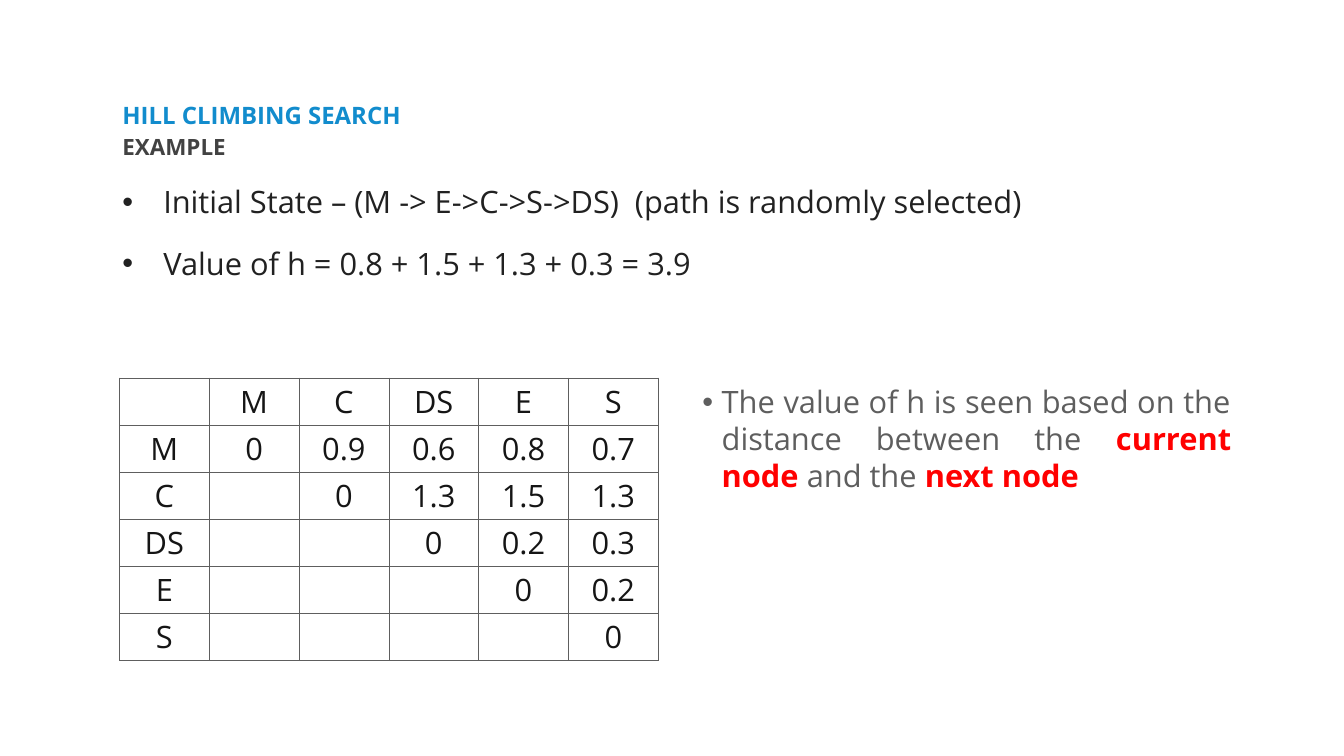
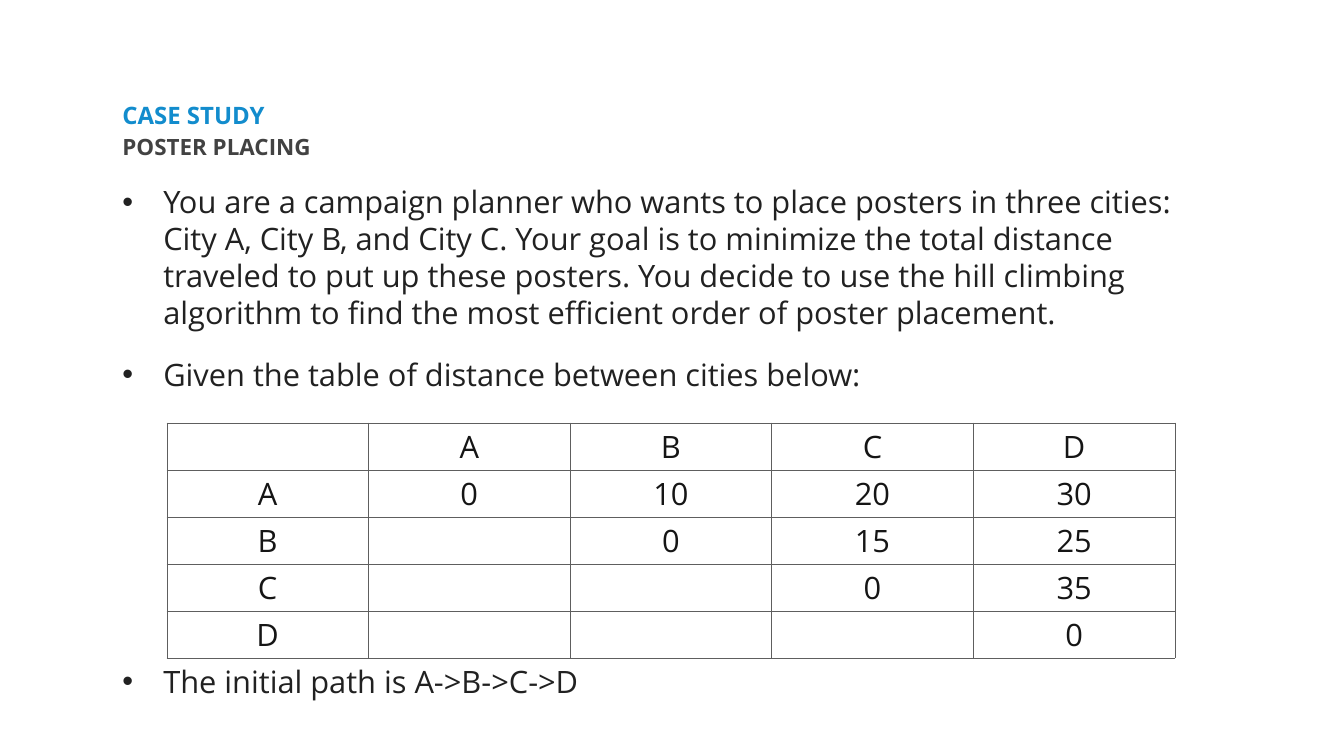
from pptx import Presentation
from pptx.dml.color import RGBColor as Rgb
from pptx.enum.text import MSO_ANCHOR as Anchor, PP_ALIGN as Align
from pptx.oxml.ns import qn
from pptx.util import Cm, Pt
from lxml.etree import SubElement as Sub

COLORS = {
    "title": "128CCD", "subtitle": "424242", "body": "212121",
    "note": "5E5E5E", "accent": "FF0000", "cell": "151515", "grid": "5E5E5E",
}

# Text styles: font values and paragraph values
FONTS = {
    "title": {"size": Pt(34.2), "bold": True},
    "subtitle": {"size": Pt(32), "bold": True},
    "body": {"size": Pt(44), "bold": False},
    "note": {"size": Pt(44), "bold": False},
    "accent": {"size": Pt(44), "bold": True},
    "cell": {"size": Pt(44), "bold": False},
}
PARAGRAPHS = {
    "title": {"line_spacing": 0.8},
    "subtitle": {"line_spacing": 0.9},
    "body": {"line_spacing": 1.0},
    "note": {"line_spacing": 1.0, "alignment": Align.JUSTIFY},
    "cell": {"alignment": Align.CENTER},
}
INDENTS = {"body": Cm(2.06), "note": Cm(0.97)}

LEFT = 6.02
ROW_HEIGHT = 2.37


def write(para, style, spans, gap=None):
    """Fill a paragraph with (text, font style) spans."""
    if style in INDENTS:
        props = para._p.get_or_add_pPr()
        props.set("marL", str(INDENTS[style]))
        props.set("indent", str(-INDENTS[style]))
        Sub(props, qn("a:buFont"), typeface="Arial")
        Sub(props, qn("a:buChar"), char="•")
    for name, value in PARAGRAPHS[style].items():
        setattr(para, name, value)
    if gap:
        para.space_before = Pt(gap)
    for text, look in spans:
        span = para.add_run()
        span.text = text
        span.font.name = "Open Sans"
        span.font.color.rgb = Rgb.from_string(COLORS[look])
        for name, value in FONTS[look].items():
            setattr(span.font, name, value)


def add_text(page, style, place, paragraphs, inset=0.15):
    """Add a text box; each paragraph is a list of spans and a gap above it."""
    frame = page.shapes.add_textbox(*map(Cm, place)).text_frame
    settings = {"word_wrap": True, "vertical_anchor": Anchor.TOP}
    settings |= {f"margin_{side}": Cm(inset) for side in ("left", "right", "top", "bottom")}
    for name, value in settings.items():
        setattr(frame, name, value)
    for index, (spans, gap) in enumerate(paragraphs):
        para = frame.add_paragraph() if index else frame.paragraphs[0]
        write(para, style, spans, gap)


deck = Presentation()
deck.slide_width, deck.slide_height = Cm(67.73), Cm(38.1)

# Each bullet is its text and the gap above it; distances run from the diagonal rightwards
slides = [
    {
        "title": "HILL CLIMBING SEARCH",
        "subtitle": "EXAMPLE",
        "bullets": [
            ("Initial State – (M -> E->C->S->DS)  (path is randomly selected)", None),
            ("Value of h = 0.8 + 1.5 + 1.3 + 0.3 = 3.9", 35),
        ],
        "body_height": 23.85,
        "table_place": (LEFT, 19.05, 27.15),
        "nodes": ["M", "C", "DS", "E", "S"],
        "distances": [
            ["0", "0.9", "0.6", "0.8", "0.7"],
            ["0", "1.3", "1.5", "1.3"],
            ["0", "0.2", "0.3"],
            ["0", "0.2"],
            ["0"],
        ],
        "note": [
            ("The value of h is seen based on the distance between the ", "note"),
            ("current node ", "accent"),
            ("and the ", "note"),
            ("next node", "accent"),
        ],
    },
    {
        "title": "CASE STUDY",
        "subtitle": "POSTER PLACING",
        "bullets": [
            ("You are a campaign planner who wants to place posters in three cities: "
             "City A, City B, and City C. Your goal is to minimize the total distance "
             "traveled to put up these posters. You decide to use the hill climbing "
             "algorithm to find the most efficient order of poster placement.", None),
            ("Given the table of distance between cities below:", 35),
            ("The initial path is A->B->C->D", 386),
        ],
        "body_height": 26.95,
        "table_place": (8.41, 21.31, 50.8),
        "nodes": ["A", "B", "C", "D"],
        "distances": [["0", "10", "20", "30"], ["0", "15", "25"], ["0", "35"], ["0"]],
        "note": None,
    },
]

for content in slides:
    page = deck.slides.add_slide(deck.slide_layouts[6])

    # Heading and bullets
    add_text(page, "title", (LEFT, 5.21, 40.87, 1.42), [([(content["title"], "title")], None)])
    add_text(page, "subtitle", (LEFT, 6.73, 27.13, 2.24),
             [([(content["subtitle"], "subtitle")], None)])
    add_text(page, "body", (LEFT, 9.07, 55.73, content["body_height"]),
             [([(text, "body")], gap) for text, gap in content["bullets"]])

    # Distance table: upper triangle only
    nodes = content["nodes"]
    rows = [[""] + nodes]
    for index, (node, values) in enumerate(zip(nodes, content["distances"])):
        rows.append([node] + [""] * index + values)
    count = len(rows)
    left, top, width = content["table_place"]
    table = page.shapes.add_table(count, count, Cm(left), Cm(top), Cm(width),
                                  Cm(count * ROW_HEIGHT)).table
    table.first_row = table.horz_banding = False
    for row, texts in zip(table.rows, rows):
        row.height = Cm(ROW_HEIGHT)
        for cell, text in zip(row.cells, texts):
            props = cell._tc.get_or_add_tcPr()
            for side in ("lnL", "lnR", "lnT", "lnB"):
                line = Sub(props, qn(f"a:{side}"), w=str(Pt(1)))
                Sub(Sub(line, qn("a:solidFill")), qn("a:srgbClr"), val=COLORS["grid"])
            cell.fill.background()
            if text:
                write(cell.text_frame.paragraphs[0], "cell", [(text, "cell")])

    # Side note
    if content["note"]:
        add_text(page, "note", (35.15, 19.05, 27.15, 5.89), [(content["note"], None)], 0.25)

deck.save("out.pptx")
